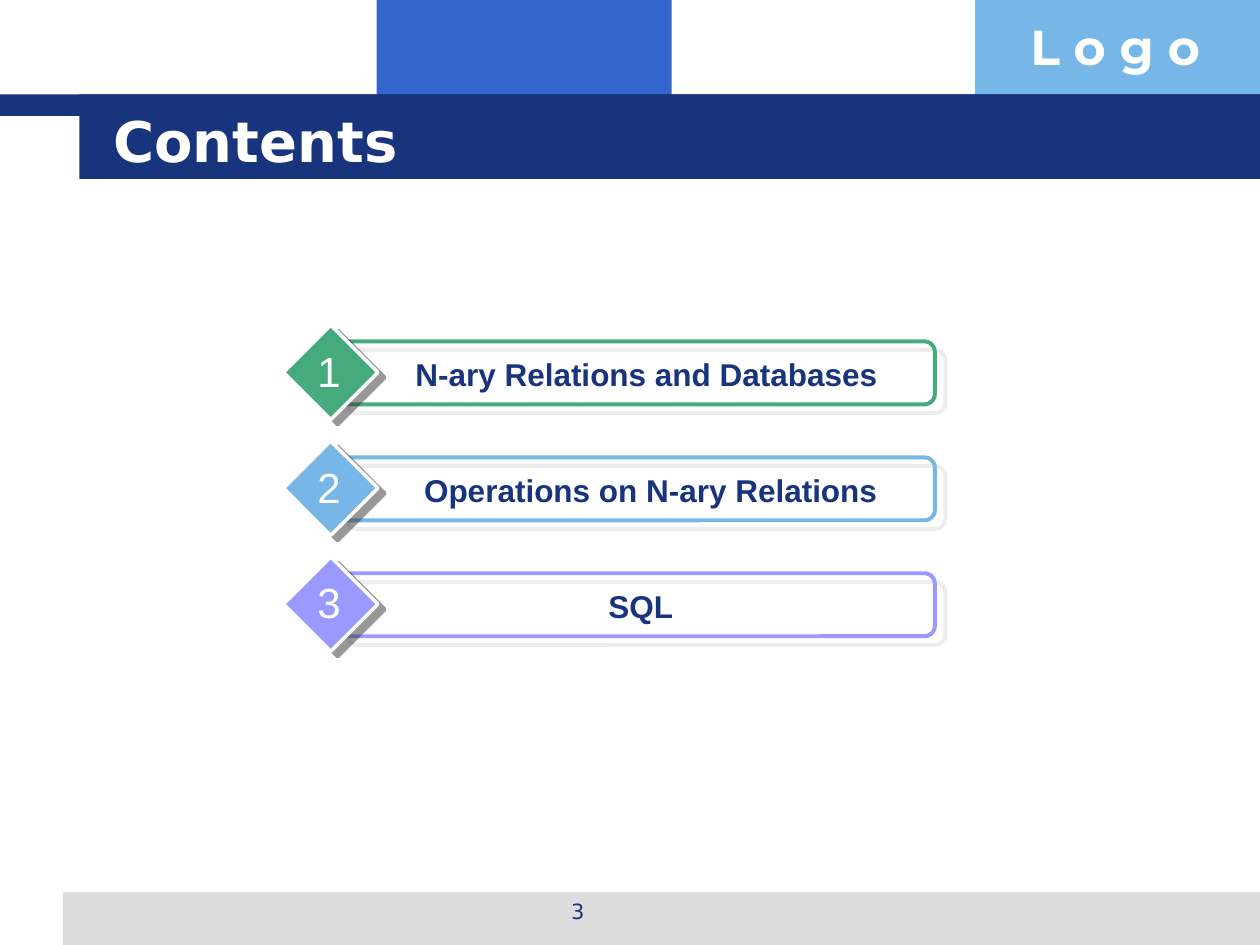
from dataclasses import dataclass

import pptx
import pptx.dml.color
import pptx.enum.shapes
import pptx.enum.text
import pptx.oxml.ns
import pptx.util
from lxml import etree
from pptx.util import Inches

SHAPE = pptx.enum.shapes.MSO_SHAPE
ALIGN = pptx.enum.text.PP_ALIGN
ANCHOR = pptx.enum.text.MSO_ANCHOR
AUTO_SIZE = pptx.enum.text.MSO_AUTO_SIZE


@dataclass(frozen=True)
class Theme:
    """Colours, fonts and type sizes of the deck."""
    navy: str = "17347D"
    blue: str = "3366CC"
    sky: str = "77B7E7"
    green: str = "45AB7D"
    violet: str = "9999FF"
    grey: str = "DDDDDD"
    dark: str = "333333"
    white: str = "FFFFFF"
    heading_font: str = "DejaVu Sans"
    logo_font: str = "Montserrat"
    body_font: str = "Arial"
    title_size: int = 32
    logo_size: int = 28
    number_size: int = 24
    label_size: int = 18
    footer_size: int = 12


THEME = Theme()


def rgb(colour):
    """Return a colour object for a hex string."""
    return pptx.dml.color.RGBColor.from_string(colour)


def add_shape(page, kind, box, fill=None, line=None, width=0):
    """Add a preset shape without a shadow."""
    shape = page.shapes.add_shape(kind, *map(Inches, box))
    if fill:
        shape.fill.solid()
        shape.fill.fore_color.rgb = rgb(fill)
    else:
        shape.fill.background()
    if line:
        shape.line.color.rgb = rgb(line)
        shape.line.width = pptx.util.Pt(width)
    else:
        shape.line.fill.background()
    shape.shadow.inherit = False
    return shape


def cast_shadow(shape, colour, distance, degrees):
    """Give a shape a hard, half-transparent shadow."""
    name = pptx.oxml.ns.qn
    effects = shape._element.spPr.find(name("a:effectLst"))
    shadow = etree.SubElement(
        effects, name("a:outerShdw"), blurRad="0", algn="ctr", rotWithShape="0",
        dist=str(int(pptx.util.Pt(distance))), dir=str(degrees * 60000))
    tint = etree.SubElement(shadow, name("a:srgbClr"), val=colour)
    etree.SubElement(tint, name("a:alpha"), val="50000")


def write(frame, text, font, size, colour, bold=False, align=ALIGN.LEFT):
    """Fill a text frame with one formatted paragraph."""
    frame.text = text
    para = frame.paragraphs[0]
    para.alignment = align
    para.font.name = font
    para.font.size = pptx.util.Pt(size)
    para.font.bold = bold
    para.font.color.rgb = rgb(colour)


def add_text(page, box, *style, wrap=True, **options):
    """Add a text box with one formatted paragraph."""
    frame = page.shapes.add_textbox(*map(Inches, box)).text_frame
    frame.word_wrap = wrap
    write(frame, *style, **options)


def add_header(page, box):
    """Draw the top blocks, the logo text and the title band."""
    left, top, width, height = box
    right = left + width
    for start, block, colour in ((2.99, 2.34, THEME.blue), (7.74, 2.26, THEME.sky)):
        add_shape(page, SHAPE.RECTANGLE, (left + start, top, block, 0.92), colour)
    for start, depth in ((left, 0.17), (left + 0.63, 0.67)):
        add_shape(page, SHAPE.RECTANGLE,
                  (start, top + 0.75, right - start, depth), THEME.navy)
    add_text(page, (left + 8.08, top + 0.08, 1.93, 0.57), "L o g o",
             THEME.logo_font, THEME.logo_size, THEME.white, bold=True)

    title = page.shapes.title
    title.left, title.top = Inches(left + 0.8), Inches(top + 0.8)
    title.width, title.height = Inches(8.53), Inches(height - 0.8)
    title.text_frame.auto_size = AUTO_SIZE.NONE
    title.text_frame.vertical_anchor = ANCHOR.MIDDLE
    write(title.text_frame, "Contents", THEME.heading_font, THEME.title_size,
          THEME.white, bold=True)
    page.shapes._spTree.append(title._element)


def add_footer(page, box):
    """Draw the footer band with the page number."""
    left, top, width, height = box
    add_shape(page, SHAPE.RECTANGLE, box, THEME.grey)
    add_text(page, (left + 2.92, top, 2.33, 0.35), "3", THEME.heading_font,
             THEME.footer_size, THEME.navy, align=ALIGN.CENTER)


def add_entry(page, box, number, label, colour, indent, label_width):
    """Draw one numbered entry: frame, diamond, label and number."""
    left, top, width, height = box
    frame = add_shape(page, SHAPE.ROUNDED_RECTANGLE,
                      (left + 0.42, top + 0.13, width - 0.42, 0.5),
                      line=colour, width=2.25)
    frame.adjustments[0] = 0.167
    cast_shadow(frame, THEME.grey, 7.8, 40)
    diamond = add_shape(page, SHAPE.DIAMOND, (left, top, height, height),
                        colour, THEME.white, 2)
    cast_shadow(diamond, THEME.dark, 5, 37)
    add_text(page, (left + indent, top + 0.19, label_width, 0.4), label,
             THEME.body_font, THEME.label_size, THEME.navy,
             bold=True, align=ALIGN.CENTER)
    add_text(page, (left + 0.17, top + 0.11, 0.38, 0.5), str(number),
             THEME.body_font, THEME.number_size, THEME.white,
             wrap=False, align=ALIGN.CENTER)


def add_contents(page, box):
    """Stack the numbered entries at an equal pitch."""
    left, top, width, height = box
    entries = (
        ("N-ary Relations and Databases", THEME.green, 0.67, 4.42),
        ("Operations on N-ary Relations", THEME.sky, 0.75, 4.33),
        ("SQL", THEME.violet, 0.67, 4.33),
    )
    row = 0.75
    pitch = (height - row) / (len(entries) - 1)
    for index, entry in enumerate(entries):
        add_entry(page, (left, top + index * pitch, width, row), index + 1, *entry)


def main():
    """Build and save the contents slide."""
    deck = pptx.Presentation()
    deck.slide_width, deck.slide_height = Inches(10), Inches(7.5)
    page = deck.slides.add_slide(deck.slide_layouts.get_by_name("Title Only"))
    add_header(page, (0, 0, 10, 1.42))
    add_footer(page, (0.5, 7.08, 9.5, 0.42))
    add_contents(page, (2.25, 2.58, 5.17, 2.59))
    deck.save("out.pptx")


if __name__ == "__main__":
    main()
